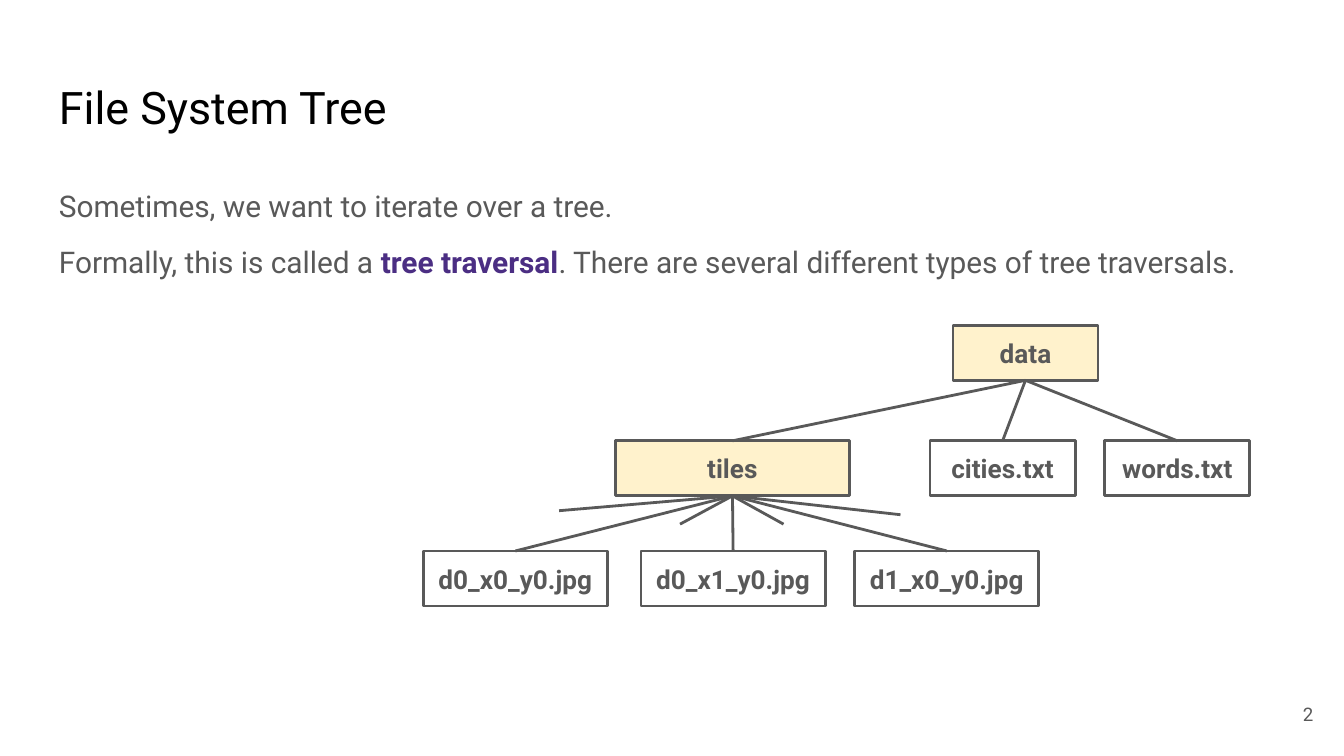
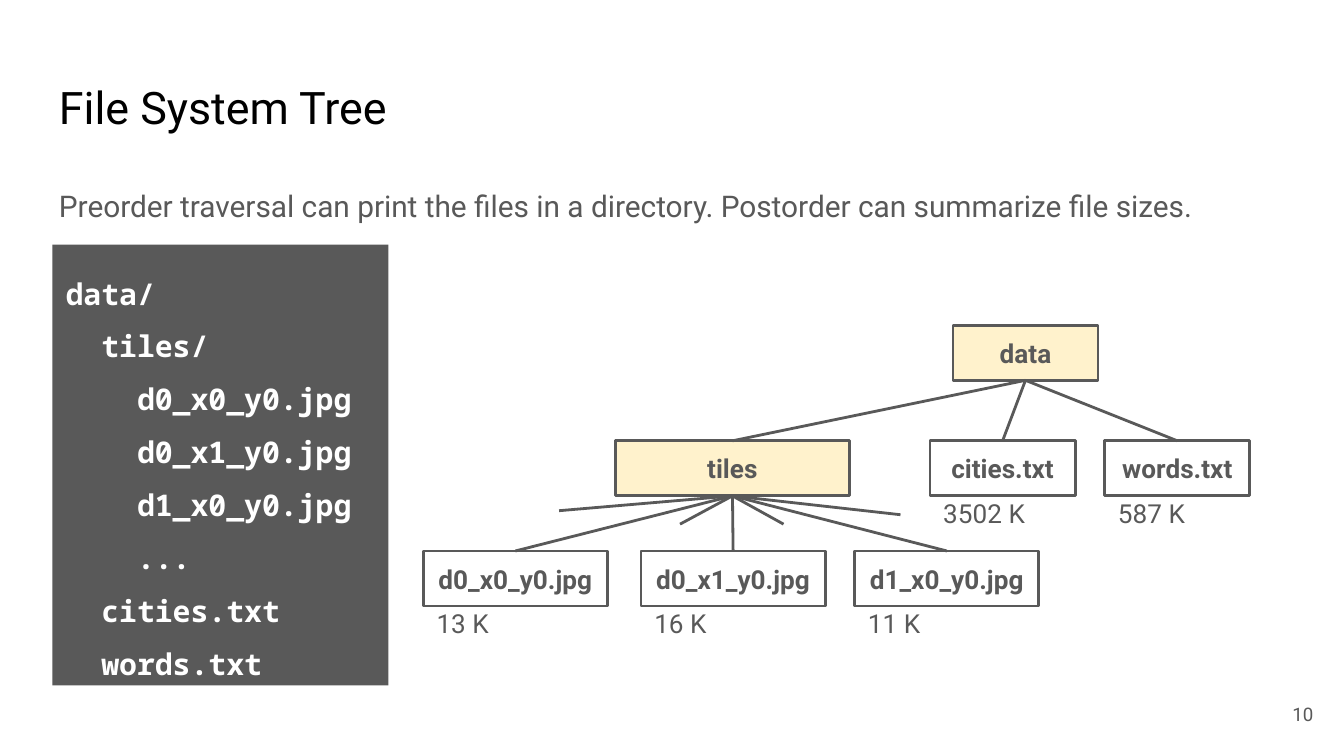
from lxml import etree
from pptx import Presentation
from pptx.dml.color import RGBColor
from pptx.enum.shapes import MSO_CONNECTOR, MSO_SHAPE
from pptx.enum.text import MSO_ANCHOR, PP_ALIGN
from pptx.oxml.ns import qn
from pptx.util import Inches, Pt

RECTANGLE = MSO_SHAPE.RECTANGLE
STRAIGHT = MSO_CONNECTOR.STRAIGHT
TOP, MIDDLE = MSO_ANCHOR.TOP, MSO_ANCHOR.MIDDLE
LEFT, CENTER, RIGHT = PP_ALIGN.LEFT, PP_ALIGN.CENTER, PP_ALIGN.RIGHT
TOP_SIDE, BOTTOM_SIDE = 0, 2

COLORS = {
    "title": "000000",
    "text": "595959",
    "term": "4B2E83",
    "folder": "FFF2CC",
    "file": "FFFFFF",
    "code": "FFFFFF",
}
BODY_FONT = "Roboto"
CODE_FONT = "Noto Sans Mono"
MARGIN = 0.1
NODE_HEIGHT = 0.41
FILE_WIDTH, TILE_WIDTH = 1.08, 1.37
DATA_TOP, CHILD_TOP, TILE_TOP = 2.42, 3.28, 4.1

NODES = {
    "data": (7.09, DATA_TOP, FILE_WIDTH, "folder"),
    "tiles": (4.58, CHILD_TOP, 1.74, "folder"),
    "cities.txt": (6.92, CHILD_TOP, FILE_WIDTH, "file"),
    "words.txt": (8.22, CHILD_TOP, FILE_WIDTH, "file"),
    "d0_x0_y0.jpg": (3.15, TILE_TOP, TILE_WIDTH, "file"),
    "d0_x1_y0.jpg": (4.77, TILE_TOP, TILE_WIDTH, "file"),
    "d1_x0_y0.jpg": (6.36, TILE_TOP, TILE_WIDTH, "file"),
}
CHILDREN = {
    "data": ["tiles", "cities.txt", "words.txt"],
    "tiles": ["d0_x0_y0.jpg", "d0_x1_y0.jpg", "d1_x0_y0.jpg"],
}
STUB_ENDS = [(4.16, 3.8), (5.06, 3.9), (5.83, 3.9), (6.7, 3.83)]
FILE_SIZES = {
    "d0_x0_y0.jpg": "13 K",
    "d0_x1_y0.jpg": "16 K",
    "d1_x0_y0.jpg": "11 K",
    "cities.txt": "3502 K",
    "words.txt": "587 K",
}
LISTING = [
    "data/",
    "  tiles/",
    "    d0_x0_y0.jpg",
    "    d0_x1_y0.jpg",
    "    d1_x0_y0.jpg",
    "    ...",
    "  cities.txt",
    "  words.txt",
]


def color(name):
    return RGBColor.from_string(COLORS[name])


def set_font(font, size, color_name, bold=False, name=BODY_FONT):
    font.name = name
    font.size = Pt(size)
    font.bold = bold
    font.color.rgb = color(color_name)


def prepare_frame(frame, anchor=TOP, wrap=True):
    frame.margin_left = frame.margin_right = Inches(MARGIN)
    frame.margin_top = frame.margin_bottom = Inches(MARGIN)
    frame.vertical_anchor = anchor
    frame.word_wrap = wrap


def add_box(slide, left, top, width, height, anchor=TOP):
    box = slide.shapes.add_textbox(
        Inches(left), Inches(top), Inches(width), Inches(height))
    prepare_frame(box.text_frame, anchor)
    return box.text_frame


def add_label(slide, text, area, size, color_name="text", anchor=MIDDLE, align=LEFT):
    paragraph = add_box(slide, *area, anchor).paragraphs[0]
    paragraph.text = text
    paragraph.alignment = align
    set_font(paragraph.font, size, color_name)


def add_body(slide, lines, height):
    frame = add_box(slide, 0.34, 1.26, 9.32, height)
    for index, pieces in enumerate(lines):
        paragraph = frame.add_paragraph() if index else frame.paragraphs[0]
        paragraph.line_spacing = 1.15
        if index:
            paragraph.space_before = Pt(8)
        set_font(paragraph.font, 16, "text")
        for text, is_term in pieces:
            run = paragraph.add_run()
            run.text = text
            if is_term:
                run.font.bold = True
                run.font.color.rgb = color("term")


def add_rectangle(slide, left, top, width, height, fill_name):
    rectangle = slide.shapes.add_shape(
        RECTANGLE, Inches(left), Inches(top), Inches(width), Inches(height))
    rectangle.shadow.inherit = False
    rectangle.fill.solid()
    rectangle.fill.fore_color.rgb = color(fill_name)
    return rectangle


def add_node(slide, name):
    left, top, width, kind = NODES[name]
    node = add_rectangle(slide, left, top, width, NODE_HEIGHT, kind)
    node.line.color.rgb = color("text")
    node.line.width = Pt(1.5)
    prepare_frame(node.text_frame, MIDDLE, wrap=False)
    paragraph = node.text_frame.paragraphs[0]
    paragraph.text = name
    paragraph.alignment = CENTER
    set_font(paragraph.font, 14, "text", bold=True)
    return node


def add_branch(slide, parent, end_x=0, end_y=0, child=None):
    branch = slide.shapes.add_connector(
        STRAIGHT, 0, 0, Inches(end_x), Inches(end_y))
    branch.begin_connect(parent, BOTTOM_SIDE)
    if child is not None:
        branch.end_connect(child, TOP_SIDE)
    branch.line.color.rgb = color("text")
    branch.line.width = Pt(1.5)
    etree.SubElement(branch._element.spPr, qn("a:effectLst"))


def add_tree(slide):
    nodes = {name: add_node(slide, name) for name in NODES}
    for parent, children in CHILDREN.items():
        for child in children:
            add_branch(slide, nodes[parent], child=nodes[child])
    for end_x, end_y in STUB_ENDS:
        add_branch(slide, nodes["tiles"], end_x, end_y)


def add_file_sizes(slide):
    for name, file_size in FILE_SIZES.items():
        left, top, _, _ = NODES[name]
        add_label(slide, file_size, (left, top + NODE_HEIGHT, 1, 0.25), 14)


def add_listing(slide):
    panel = add_rectangle(slide, 0.39, 1.82, 2.5, 3.28, "text")
    panel.line.fill.background()
    frame = panel.text_frame
    prepare_frame(frame)
    for index, line in enumerate(LISTING):
        paragraph = frame.add_paragraph() if index else frame.paragraphs[0]
        paragraph.text = line
        paragraph.alignment = LEFT
        paragraph.line_spacing = 1.48
        set_font(paragraph.font, 16, "code", bold=True, name=CODE_FONT)


def add_tree_slide(deck, number, lines, body_height):
    slide = deck.slides.add_slide(deck.slide_layouts[6])
    add_label(slide, "File System Tree", (0.34, 0.49, 9.32, 0.63), 24, "title", TOP)
    add_body(slide, lines, body_height)
    add_label(slide, number, (9.27, 5.1, 0.6, 0.43), 10, align=RIGHT)
    add_tree(slide)
    return slide


def main():
    deck = Presentation()
    deck.slide_width = Inches(10)
    deck.slide_height = Inches(10 * 9 / 16)

    add_tree_slide(deck, "2", [
        [("Sometimes, we want to iterate over a tree.", False)],
        [("Formally, this is called a ", False),
         ("tree traversal", True),
         (". There are several different types of tree traversals.", False)],
    ], 0.9)

    summary = add_tree_slide(deck, "10", [
        [("Preorder traversal can print the files in a directory. "
          "Postorder can summarize file sizes.", False)],
    ], 0.45)
    add_listing(summary)
    add_file_sizes(summary)

    deck.save("out.pptx")


if __name__ == "__main__":
    main()
